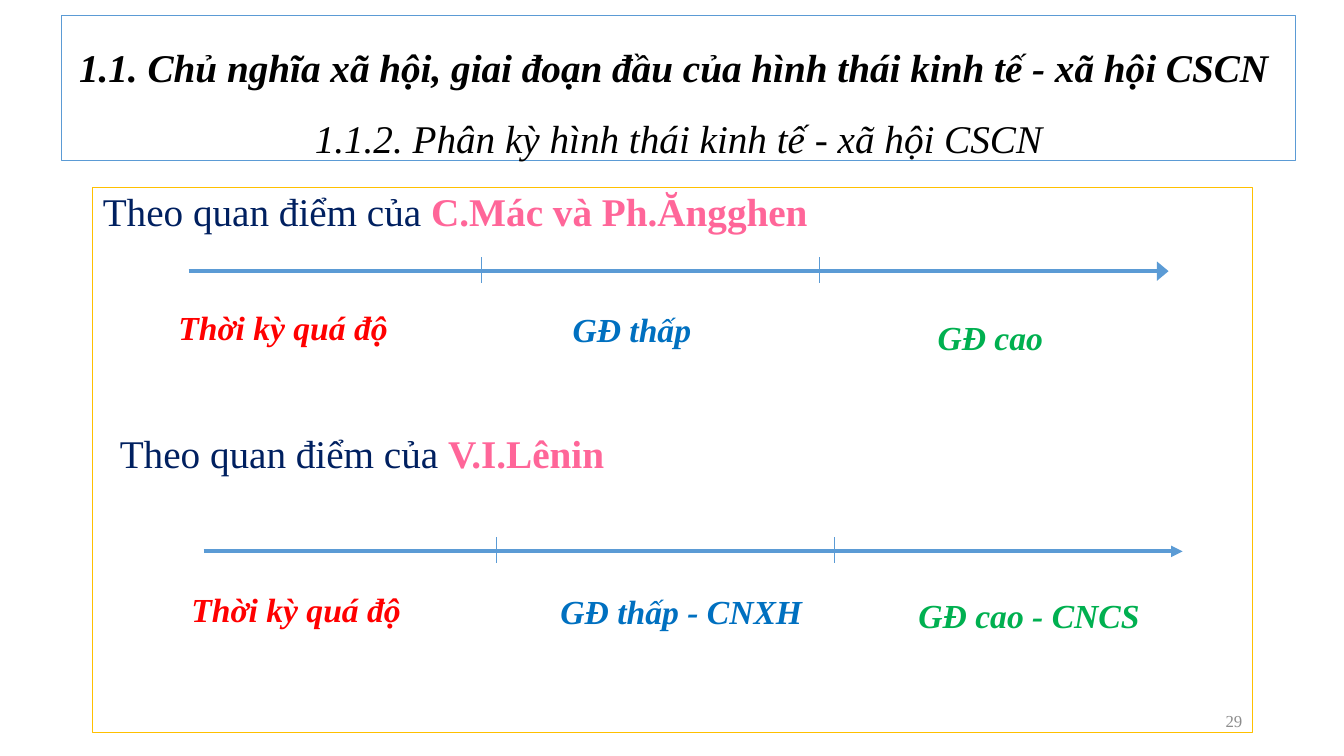
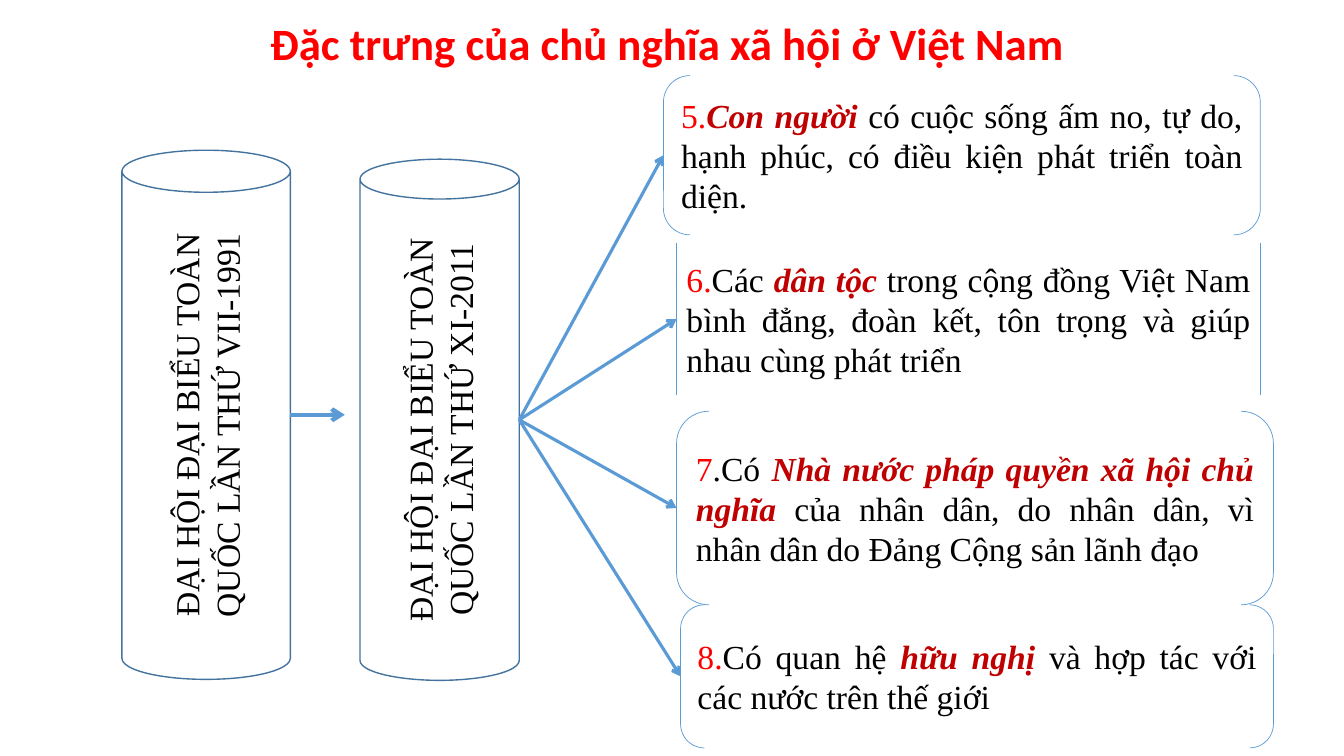
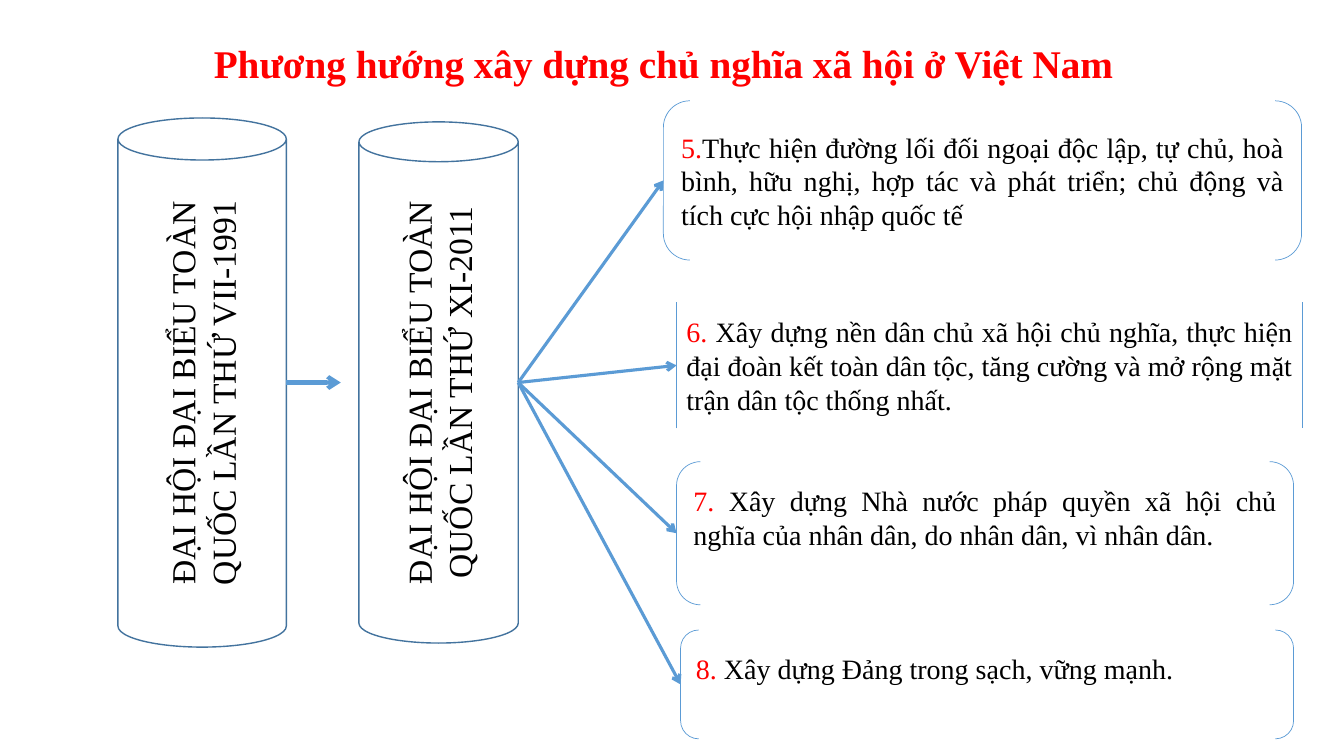
import pptx
import pptx.util
import pptx.dml.color
import pptx.enum.shapes
import pptx.enum.text
import pptx.oxml.ns
from lxml import etree

RGB = pptx.dml.color.RGBColor
SHAPE = pptx.enum.shapes.MSO_SHAPE
ALIGN = pptx.enum.text.PP_ALIGN
ANCHOR = pptx.enum.text.MSO_ANCHOR
qn = pptx.oxml.ns.qn

BLACK = RGB(0x00, 0x00, 0x00)
WHITE = RGB(0xFF, 0xFF, 0xFF)
RED = RGB(0xFF, 0x00, 0x00)
DARK_RED = RGB(0xC0, 0x00, 0x00)
NAVY = RGB(0x00, 0x20, 0x60)
PINK = RGB(0xFF, 0x66, 0x99)
BLUE = RGB(0x00, 0x70, 0xC0)
GREEN = RGB(0x00, 0xB0, 0x50)
GOLD = RGB(0xFF, 0xC0, 0x00)
GREY = RGB(0x8C, 0x8C, 0x8C)
SKY = RGB(0x5B, 0x9B, 0xD5)
STEEL = RGB(0x43, 0x73, 0x9E)
SERIF = "Times New Roman"

TITLE_AND_BODY, TITLE_ONLY = 1, 5
STAGE_COLOURS = (RED, BLUE, GREEN)
CONGRESSES = ("ĐẠI HỘI ĐẠI BIỂU TOÀN QUỐC LẦN THỨ VII-1991",
              "ĐẠI HỘI ĐẠI BIỂU TOÀN QUỐC LẦN THỨ XI-2011")


def inches(*values):
    return [pptx.util.Inches(v) for v in values]


def write(tf, runs, size=24, font=SERIF, align=ALIGN.LEFT, anchor=ANCHOR.TOP,
          spacing=1.0, bold=False, italic=False):
    """Fill one paragraph; a run is (text, colour[, bold, italic]), None a line break."""
    tf.word_wrap = True
    tf.auto_size = pptx.enum.text.MSO_AUTO_SIZE.NONE
    tf.vertical_anchor = anchor
    p = tf.paragraphs[0]
    p.alignment, p.line_spacing = align, spacing
    p.space_before = pptx.util.Pt(0)
    for run in runs:
        if run is None:
            p.add_line_break()
            continue
        text, colour, *style = run
        r = p.add_run()
        r.text = text
        r.font.name, r.font.size = font, pptx.util.Pt(size)
        r.font.color.rgb = colour
        r.font.bold, r.font.italic = style or (bold, italic)
    return p


def outline(sp, colour, width, fill=None):
    sp.line.color.rgb = colour
    sp.line.width = pptx.util.Pt(width)
    if fill is None:
        sp.fill.background()
    else:
        sp.fill.solid()
        sp.fill.fore_color.rgb = fill


def place(sp, box):
    sp.left, sp.top, sp.width, sp.height = inches(*box)
    return sp


def add_text(s, box, runs, **style):
    sp = s.shapes.add_textbox(*inches(*box))
    write(sp.text_frame, runs, **style)


def add_outlined(s, kind, box, colour, width):
    sp = s.shapes.add_shape(kind, *inches(*box))
    sp.shadow.inherit = False
    outline(sp, colour, width)
    return sp


def add_line(shapes, start, end, width, head=None, head_width="med"):
    line = shapes.add_connector(pptx.enum.shapes.MSO_CONNECTOR.STRAIGHT,
                                *inches(*start, *end))
    line.line.color.rgb = SKY
    line.line.width = pptx.util.Pt(width)
    spPr = line._element.spPr
    if head:
        etree.SubElement(spPr.find(qn("a:ln")), qn("a:tailEnd"),
                         type=head, w=head_width, len="med")
    etree.SubElement(spPr, qn("a:effectLst"))
    return line


def add_title(s, box, runs, **style):
    sp = place(s.shapes.title, box)
    write(sp.text_frame, runs, align=ALIGN.CENTER, **style)
    return sp


def add_timeline(s, box, labels, head_width):
    """Axis with two ticks; a label is (text, dx, dy, width) from the axis start."""
    x, y, w = box
    group = s.shapes.add_group_shape()
    add_line(group.shapes, (x, y), (x + w, y), 2.75, "triangle", head_width)
    for dx in (2.9, 6.26):
        add_line(group.shapes, (x + dx, y - 0.14), (x + dx, y + 0.12), 0.5)
    for (text, dx, dy, width), colour in zip(labels, STAGE_COLOURS):
        add_text(s, (x + dx, y + dy, width, 0.5), [(text, colour)],
                 bold=True, italic=True)


def add_congresses(s, boxes):
    """Two cans joined by a short arrow; returns the middle of the last one's right side."""
    exits = []
    for box, text in zip(boxes, CONGRESSES):
        x, y, w, h = box
        can = add_outlined(s, SHAPE.CAN, box, STEEL, 1)
        write(can.text_frame, [(text, BLACK)], align=ALIGN.CENTER,
              anchor=ANCHOR.MIDDLE)
        can.text_frame._txBody.bodyPr.set("vert", "vert270")
        exits.append((x + w, y + h / 2))
    x, y = exits[0]
    add_line(s.shapes, (x, y), (x + 0.54, y), 3, "arrow")
    return exits[-1]


def add_points(s, origin, points, size):
    """Bracketed points, each reached by an arrow; a point is (box, runs, rise)."""
    brackets = []
    for i, (box, runs, rise) in enumerate(points):
        sp = add_outlined(s, SHAPE.DOUBLE_BRACKET, box, SKY, 0.5)
        if i == 1:  # the second point has square corners
            sp.adjustments[0] = 0
        write(sp.text_frame, runs, size=size, align=ALIGN.JUSTIFY,
              anchor=ANCHOR.MIDDLE)
        sp.text_frame.margin_bottom = pptx.util.Inches(0.05 + rise)
        brackets.append(sp)
    for sp in brackets:
        arrow = add_line(s.shapes, origin, origin, 2.25, "arrow")
        arrow.end_connect(sp, 1)


def build_periods(prs):
    s = prs.slides.add_slide(prs.slide_layouts[TITLE_AND_BODY])
    # Heading
    title = add_title(s, (0.61, 0.15, 12.24, 1.44), [
        ("1.1. Chủ nghĩa xã hội, giai đoạn đầu của hình thái kinh tế - xã hội CSCN ",
         BLACK, True, True), None,
        ("1.1.2. Phân kỳ hình thái kinh tế - xã hội CSCN", BLACK, False, True)],
        size=28, spacing=1.5)
    outline(title, SKY, 0.75, WHITE)
    # Frame with the first view
    body = place(s.placeholders[1], (0.92, 1.86, 11.5, 5.41))
    outline(body, GOLD, 1, WHITE)
    pPr = body.text_frame.paragraphs[0]._p.get_or_add_pPr()
    pPr.set("marL", "0")
    pPr.set("indent", "0")
    etree.SubElement(pPr, qn("a:buNone"))
    view = ("Theo quan điểm của ", NAVY)
    write(body.text_frame, [view, ("C.Mác và Ph.Ăngghen", PINK, True, False)],
          size=28, spacing=0.9)
    add_timeline(s, (1.87, 2.69, 9.72), [
        ("Thời kỳ quá độ", -0.2, 0.31, 2.51),
        ("GĐ thấp", 3.71, 0.33, 1.79),
        ("GĐ cao", 7.33, 0.4, 1.79)], "lg")
    # Second view
    add_text(s, (1.09, 4.21, 8.44, 0.57),
             [view, ("V.I.Lênin", PINK, True, False)], size=28)
    add_timeline(s, (2.02, 5.47, 9.71), [
        ("Thời kỳ quá độ", -0.22, 0.32, 2.38),
        ("GĐ thấp - CNXH", 3.44, 0.34, 2.84),
        ("GĐ cao - CNCS", 6.99, 0.38, 2.75)], "med")
    # Page number
    add_text(s, (9.42, 6.95, 3, 0.4), [("29", GREY)], size=12,
             align=ALIGN.RIGHT, anchor=ANCHOR.MIDDLE)


def build_congress_slide(prs, title, title_box, title_font, title_size,
                         cans, points, size):
    s = prs.slides.add_slide(prs.slide_layouts[TITLE_ONLY])
    add_title(s, title_box, [(title, RED)], font=title_font, size=title_size,
              bold=True, anchor=ANCHOR.MIDDLE)
    add_points(s, add_congresses(s, cans), points, size)


def key(text):
    return (text, DARK_RED, True, True)


def main():
    prs = pptx.Presentation()
    prs.slide_width, prs.slide_height = inches(13.33, 7.5)
    build_periods(prs)
    build_congress_slide(
        prs, "Đặc trưng của chủ nghĩa xã hội ở Việt Nam",
        (1.83, -0.08, 9.58, 1), "Calibri", 32,
        [(1.21, 1.49, 1.67, 5.25), (3.57, 1.58, 1.58, 5.17)],
        [((6.58, 0.75, 5.92, 1.58),
          [("5.", RED), key("Con người "),
           ("có cuộc sống ấm no, tự do, hạnh phúc, có điều kiện phát triển "
            "toàn diện.", BLACK)], 0),
         ((6.71, 2.41, 5.79, 1.51),
          [("6.", RED), ("Các ", BLACK), key("dân tộc "),
           ("trong cộng đồng Việt Nam bình đẳng, đoàn kết, tôn trọng và giúp "
            "nhau cùng phát triển", BLACK)], 0),
         ((6.71, 4.08, 5.92, 1.92),
          [("7", RED), (".Có ", BLACK),
           key("Nhà nước pháp quyền xã hội chủ nghĩa "),
           ("của nhân dân, do nhân dân, vì nhân dân do Đảng Cộng sản lãnh đạo",
            BLACK)], 0),
         ((6.75, 6, 5.88, 1.42),
          [("8.", RED), ("Có quan hệ ", BLACK), key("hữu nghị "),
           ("và hợp tác với các nước trên thế giới", BLACK)], 0)], 24)
    build_congress_slide(
        prs, "Phương hướng xây dựng chủ nghĩa xã hội ở Việt Nam",
        (0.79, 0.12, 11.58, 1), SERIF, 28,
        [(1.17, 1.17, 1.67, 5.25), (3.56, 1.21, 1.58, 5.17)],
        [((6.58, 1, 6.33, 1.58),
          [("5.", RED),
           ("Thực hiện đường lối đối ngoại độc lập, tự chủ, hoà bình, hữu nghị, "
            "hợp tác và phát triển; chủ động và tích cực hội nhập quốc tế",
            BLACK)], 0),
         ((6.71, 3, 6.21, 1.25),
          [("6. ", RED),
           ("Xây dựng nền dân chủ xã hội chủ nghĩa, thực hiện đại đoàn kết toàn "
            "dân tộc, tăng cường và mở rộng mặt trận dân tộc thống nhất.",
            BLACK)], 0),
         ((6.71, 4.58, 6.12, 1.42),
          [("7. ", RED),
           ("Xây dựng Nhà nước pháp quyền xã hội chủ nghĩa của nhân dân, do "
            "nhân dân, vì nhân dân.", BLACK)], 0.32),
         ((6.75, 6.25, 6.08, 1.08),
          [("8. ", RED), ("Xây dựng Đảng trong sạch, vững mạnh.", BLACK)],
          0.32)], 20)
    prs.save("out.pptx")


if __name__ == "__main__":
    main()
